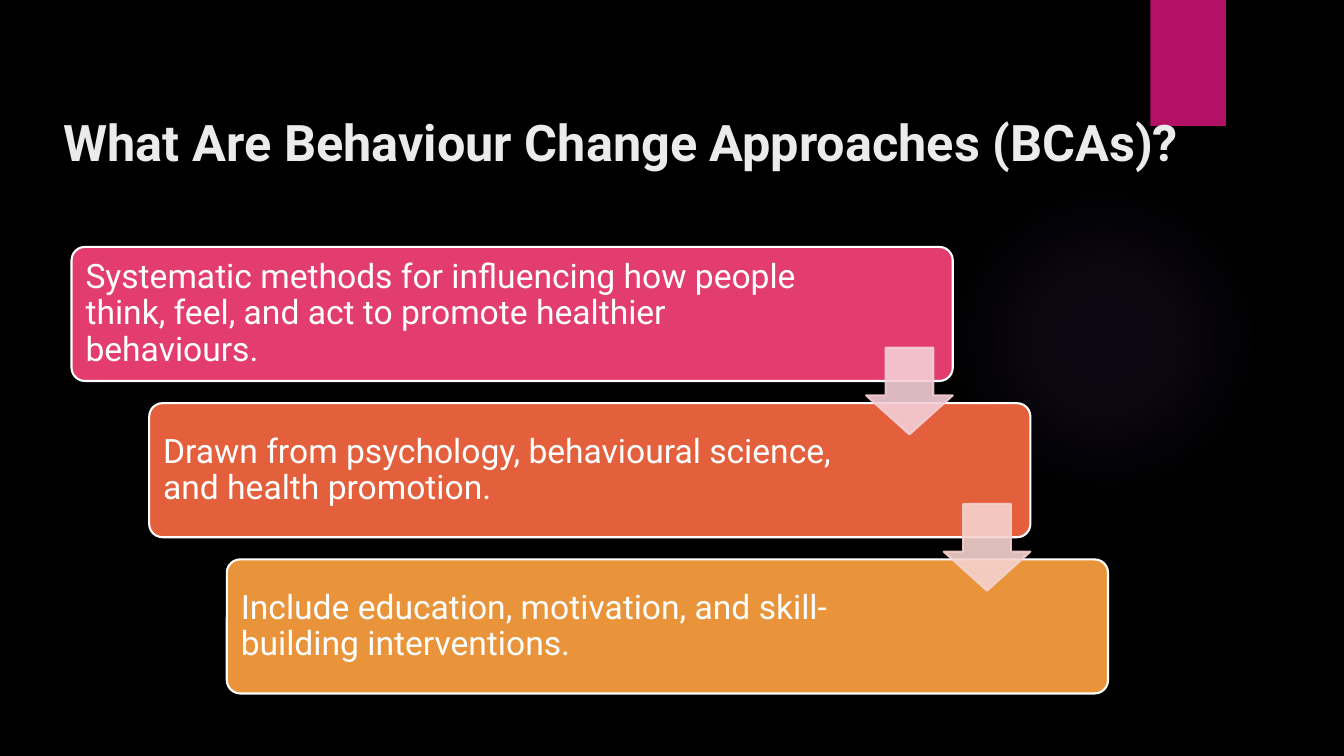
from dataclasses import dataclass

import pptx
import pptx.dml.color
import pptx.enum.shapes
import pptx.enum.text
import pptx.oxml
import pptx.oxml.ns
import pptx.shapes.autoshape
import pptx.util

RGBColor = pptx.dml.color.RGBColor
MSO_SHAPE = pptx.enum.shapes.MSO_SHAPE

PX = 9144
FONT = "Roboto"
BLACK = RGBColor(0x00, 0x00, 0x00)
WHITE = RGBColor(0xFF, 0xFF, 0xFF)
TITLE_GREY = RGBColor(0xEB, 0xEB, 0xEB)
MAGENTA = RGBColor(0xB3, 0x11, 0x66)
GLOW_VIOLET = RGBColor(0x9B, 0x6B, 0xF2)
PINK = RGBColor(0xE3, 0x3D, 0x6F)
CORAL = RGBColor(0xE4, 0x5F, 0x3C)
ORANGE = RGBColor(0xE9, 0x94, 0x3A)
PALE_PINK = RGBColor(0xF4, 0xCE, 0xD5)
PALE_CORAL = RGBColor(0xF5, 0xD2, 0xCE)

GLOW_STOPS = ((0, 7), (36, 6), (69, 0))
STEP_LEFT, STEP_TOP = 71, 245
STEP_DX, STEP_DY = 77, 155
STEP_W, STEP_H = 874, 133
ARROW_DX, ARROW_DY, ARROW_SIZE = 788, 100, 86


@dataclass(frozen=True)
class Box:
    left: int
    top: int
    width: int
    height: int

    def emu(self) -> tuple[int, int, int, int]:
        return self.left * PX, self.top * PX, self.width * PX, self.height * PX


@dataclass(frozen=True)
class Step:
    text: str
    text_width: int
    fill: RGBColor


STEPS = (
    Step("Systematic methods for influencing how people think, feel, "
         "and act to promote healthier behaviours.", 731, PINK),
    Step("Drawn from psychology, behavioural science, and health promotion.",
         703, CORAL),
    Step("Include education, motivation, and skill-building interventions.",
         703, ORANGE),
)
ARROW_FILLS = (PALE_PINK, PALE_CORAL)


def add_shape(shapes, kind: MSO_SHAPE, box: Box, fill: RGBColor | None = None,
              line: RGBColor | None = None) -> pptx.shapes.autoshape.Shape:
    sp = shapes.add_shape(kind, *box.emu())
    sp.shadow.inherit = False
    if fill is None:
        sp.fill.background()
    else:
        sp.fill.solid()
        sp.fill.fore_color.rgb = fill
    if line is None:
        sp.line.fill.background()
    else:
        sp.line.color.rgb = line
        sp.line.width = pptx.util.Pt(1.5)
    return sp


def format_text(tf, size: int, color: RGBColor, bold: bool = False) -> None:
    tf.word_wrap = True
    p = tf.paragraphs[0]
    p.alignment = pptx.enum.text.PP_ALIGN.LEFT
    p.line_spacing = 0.9
    for r in p.runs:
        r.font.name = FONT
        r.font.size = pptx.util.Pt(size)
        r.font.bold = bold
        r.font.color.rgb = color


def add_glow(shapes) -> None:
    sp = add_shape(shapes, MSO_SHAPE.OVAL, Box(941, 183, 308, 308))
    stops = "".join(
        f'<a:gs pos="{pos * 1000}"><a:srgbClr val="{GLOW_VIOLET}">'
        f'<a:alpha val="{alpha * 1000}"/></a:srgbClr></a:gs>'
        for pos, alpha in GLOW_STOPS)
    gradient = pptx.oxml.parse_xml(
        f'<a:gradFill {pptx.oxml.ns.nsdecls("a")} rotWithShape="1">'
        f'<a:gsLst>{stops}</a:gsLst><a:path path="circle">'
        '<a:fillToRect l="50000" t="50000" r="50000" b="50000"/>'
        '</a:path></a:gradFill>')
    spPr = sp.element.spPr
    spPr.replace(spPr.xpath("./a:noFill")[0], gradient)


def add_ribbon(shapes) -> pptx.shapes.autoshape.Shape:
    sp = add_shape(shapes, MSO_SHAPE.RECTANGLE, Box(1141, 0, 75, 125), MAGENTA)
    shadow = pptx.oxml.parse_xml(
        f'<a:outerShdw {pptx.oxml.ns.nsdecls("a")} blurRad="38100" dist="25400" '
        'dir="5400000" rotWithShape="0"><a:srgbClr val="000000">'
        '<a:alpha val="45000"/></a:srgbClr></a:outerShdw>')
    sp.element.spPr.xpath("./a:effectLst")[0].append(shadow)
    return sp


def add_step(shapes, step: Step, left: int, top: int) -> None:
    sp = add_shape(shapes, MSO_SHAPE.ROUNDED_RECTANGLE,
                   Box(left, top, STEP_W, STEP_H), step.fill, WHITE)
    sp.adjustments[0] = 0.1
    label = shapes.add_textbox(
        *Box(left + 4, top + 4, step.text_width, STEP_H - 8).emu())
    tf = label.text_frame
    tf.text = step.text
    tf.vertical_anchor = pptx.enum.text.MSO_ANCHOR.MIDDLE
    tf.margin_left = tf.margin_right = 10 * PX
    tf.margin_top = tf.margin_bottom = 10 * PX
    format_text(tf, 24, WHITE)


def add_arrow(shapes, color: RGBColor, left: int, top: int) -> None:
    sp = add_shape(shapes, MSO_SHAPE.DOWN_ARROW,
                   Box(left, top, ARROW_SIZE, ARROW_SIZE), color, color)
    sp.adjustments[0] = 0.55
    sp.adjustments[1] = 0.45
    for clr in sp.element.spPr.xpath(".//a:srgbClr"):
        clr.append(pptx.oxml.parse_xml(
            f'<a:alpha {pptx.oxml.ns.nsdecls("a")} val="90000"/>'))


def main() -> None:
    prs = pptx.Presentation()
    prs.slide_width, prs.slide_height = 1333 * PX, 750 * PX
    s = prs.slides.add_slide(prs.slide_layouts[5])
    s.background.fill.solid()
    s.background.fill.fore_color.rgb = BLACK

    add_glow(s.shapes)
    ribbon = add_ribbon(s.shapes)

    title = s.shapes.title
    ribbon.element.addnext(title.element)
    title.left, title.top, title.width, title.height = Box(53, 112, 1152, 153).emu()
    tf = title.text_frame
    tf.text = "What Are Behaviour Change Approaches (BCAs)?"
    tf.auto_size = pptx.enum.text.MSO_AUTO_SIZE.NONE
    tf.vertical_anchor = pptx.enum.text.MSO_ANCHOR.TOP
    format_text(tf, 36, TITLE_GREY, bold=True)

    staircase = s.shapes.add_group_shape().shapes
    for i, step in enumerate(STEPS):
        add_step(staircase, step, STEP_LEFT + i * STEP_DX, STEP_TOP + i * STEP_DY)
    for i, color in enumerate(ARROW_FILLS):
        add_arrow(staircase, color, STEP_LEFT + ARROW_DX + i * STEP_DX,
                  STEP_TOP + ARROW_DY + i * STEP_DY)

    prs.save("out.pptx")


if __name__ == "__main__":
    main()
